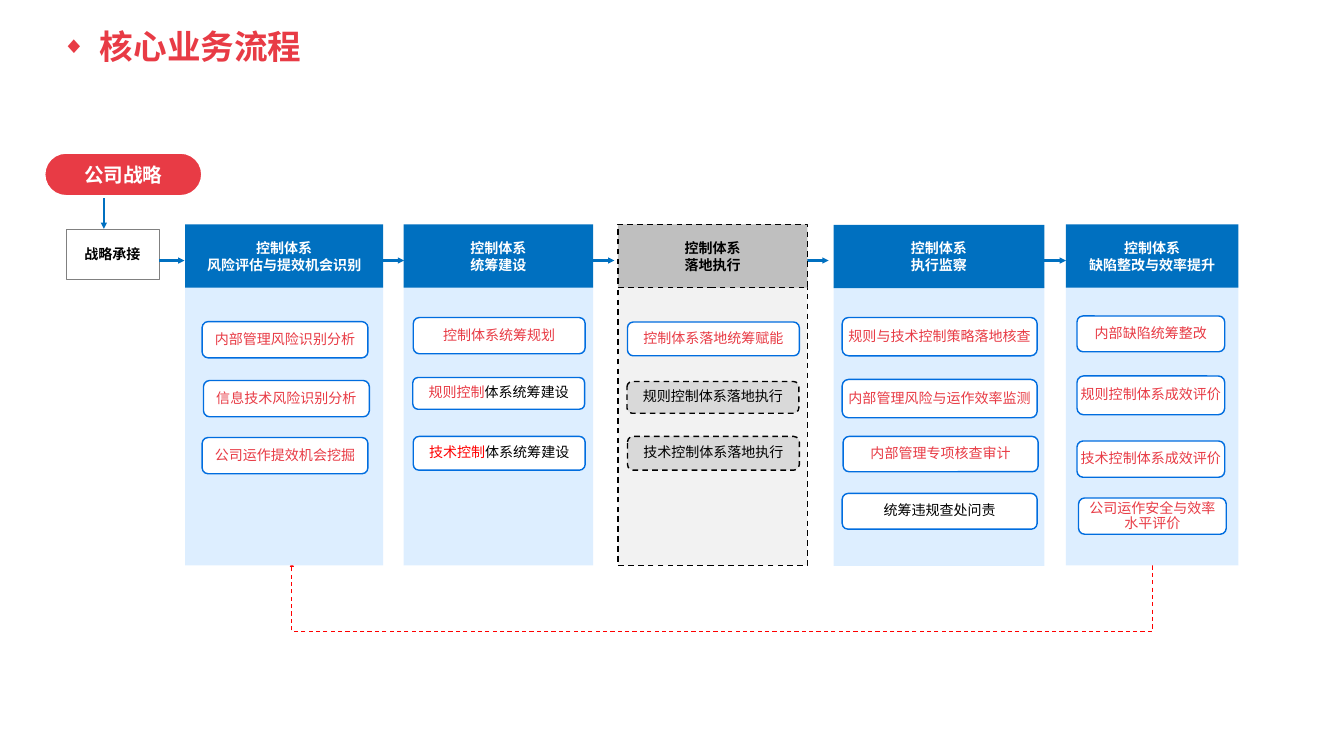
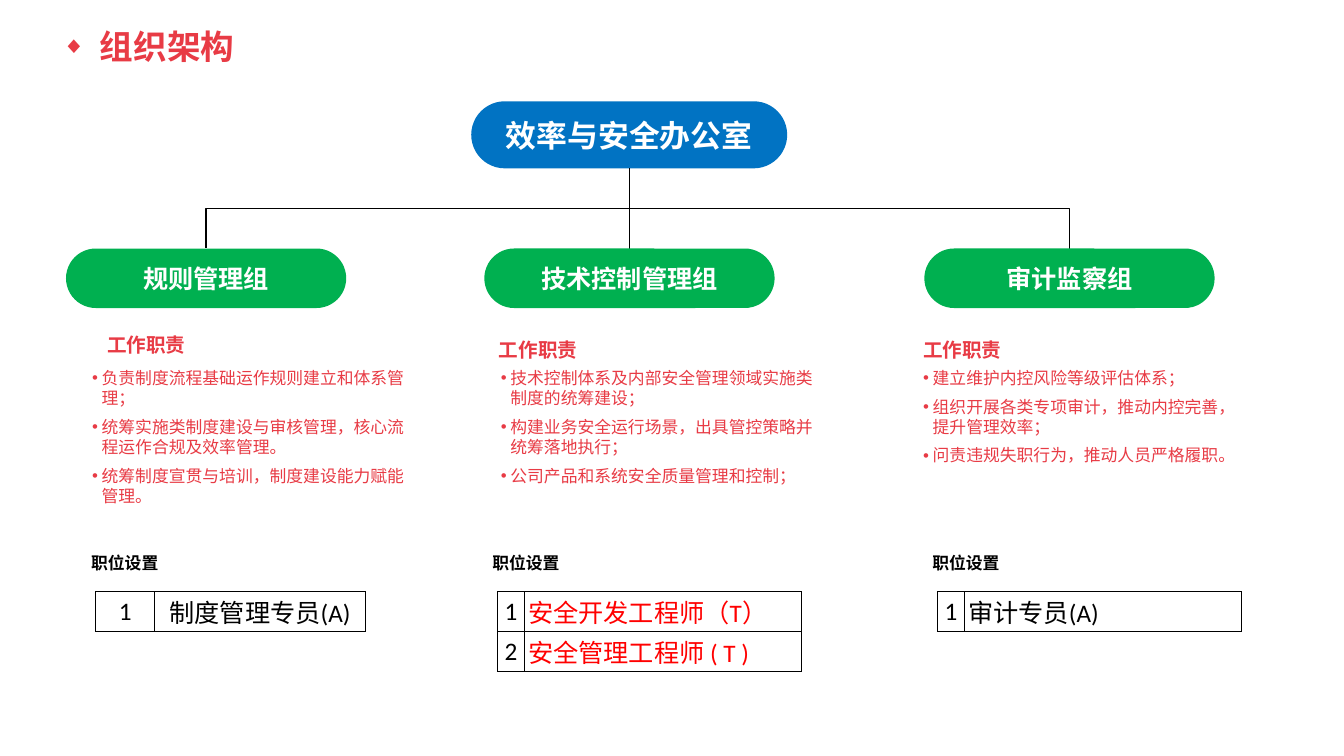
from dataclasses import dataclass
from itertools import accumulate

from lxml.etree import SubElement
from pptx import Presentation
from pptx.dml.color import RGBColor
from pptx.enum.dml import MSO_LINE
from pptx.enum.shapes import MSO_CONNECTOR, MSO_SHAPE
from pptx.enum.text import MSO_ANCHOR, MSO_AUTO_SIZE, PP_ALIGN
from pptx.oxml.ns import qn
from pptx.util import Pt


@dataclass(frozen=True)
class Theme:
    red: str = "E83B45"
    alert: str = "FF0000"
    blue: str = "0070C0"
    root_blue: str = "0173C3"
    outline: str = "006DDF"
    pale: str = "DDEEFF"
    green: str = "00B050"
    white: str = "FFFFFF"
    black: str = "000000"
    grey_line: str = "808080"
    grey_head: str = "BFBFBF"
    grey_card: str = "D9D9D9"
    grey_body: str = "F2F2F2"
    cjk: str = "Noto Sans CJK SC"
    arial: str = "Arial"
    calibri: str = "Calibri"
    title: int = 48
    root: int = 44
    group: int = 36
    heading: int = 28
    body: int = 24
    flow: int = 20


THEME = Theme()


@dataclass(frozen=True)
class Stage:
    box: tuple
    head: str
    font: str
    card_left: float
    card_width: float
    cards: tuple
    outsourced: bool = False


@dataclass(frozen=True)
class Group:
    left: float
    width: float
    name: str
    heading_box: tuple
    heading_font: str
    heading_leading: float
    duty_left: float
    duty_width: float
    duties: tuple
    label_left: float
    table_left: float
    columns: tuple
    posts: tuple
    post_color: str = THEME.black
    post_align: PP_ALIGN = PP_ALIGN.LEFT


RED, BLACK = THEME.red, THEME.black
STAGES = (
    Stage((264.5, 320.4, 283), "控制体系\n风险评估与提效机会识别", THEME.calibri, 24.2, 236.9, (
        (0, 139, 51.8, (("内部管理风险识别分析", RED),)),
        (2, 223.2, 51.8, (("信息技术风险识别分析", RED),)),
        (0, 304.6, 51.8, (("公司运作提效机会挖掘", RED),)))),
    Stage((576.7, 320.4, 270.7), "控制体系\n统筹建设", THEME.cjk, 13.7, 245.5, (
        (0, 133.2, 51.8, (("控制体系统筹规划", RED),)),
        (-0.7, 218.9, 45.4, (("规则控制", RED), ("体系统筹建设", BLACK))),
        (0, 303.1, 48.2, (("技术控制", THEME.alert), ("体系统筹建设", BLACK))))),
    Stage((882.7, 320.4, 270.7), "控制体系\n落地执行", THEME.arial, 13.7, 245.5, (
        (0, 139.7, 48.2, (("控制体系落地统筹赋能", RED),)),
        (-0.7, 224.6, 45.4, (("规则控制体系落地执行", BLACK),)),
        (0, 303.1, 48.2, (("技术控制体系落地执行", BLACK),))), True),
    Stage((1190.9, 321.1, 301), "控制体系\n执行监察", THEME.cjk, 12.2, 278.6, (
        (0, 132.5, 54.7, (("规则与技术控制策略落地核查", RED),)),
        (0, 221, 54.7, (("内部管理风险与运作效率监测", RED),)),
        (1.4, 302.4, 50.4, (("内部管理专项核查审计", RED),)),
        (0, 383.8, 51.1, (("统筹违规查处问责", BLACK),)))),
    Stage((1522.8, 320.4, 246.2), "控制体系\n缺陷整改与效率提升", THEME.cjk, 15.8, 211, (
        (0, 131, 51.1, (("内部缺陷统筹整改", RED),)),
        (0, 216.7, 55.4, (("规则控制体系成效评价", RED),)),
        (0, 309.6, 51.8, (("技术控制体系成效评价", RED),)),
        (2.2, 391, 51.8, (("公司运作安全与效率\n水平评价", RED),)))),
)
FLOW_ARROWS = ((226.8, 263.5), (541.4, 577.4), (828, 877.7), (1134, 1183.7), (1486, 1522.8))

GROUPS = (
    Group(94.3, 400.3, "规则管理组", (51.8, 116.6, 139.7, 41), THEME.calibri, 1, 30.3, 466.6,
          ("负责制度流程基础运作规则建立和体系管理；",
           "统筹实施类制度建设与审核管理，核心流程运作合规及效率管理。",
           "统筹制度宣贯与培训，制度建设能力赋能管理。"),
          28.8, 42.5, (84.2, 301), ("制度管理专员(A)",), post_align=PP_ALIGN.CENTER),
    Group(691.9, 414.7, "技术控制管理组", (13.7, 108, 143.3, 51.8), THEME.cjk, 1.5, 16.6, 466.6,
          ("技术控制体系及内部安全管理领域实施类制度的统筹建设；",
           "构建业务安全运行场景，出具管控策略并统筹落地执行；",
           "公司产品和系统安全质量管理和控制；"),
          4.3, 18.7, (38.9, 395.3), ("安全开发工程师（T）", "安全管理工程师 ( T )"), THEME.alert),
    Group(1320.5, 414.7, "审计监察组", (-8.7, 108, 143.3, 51.8), THEME.cjk, 1.5, -8.7, 471.6,
          ("建立维护内控风险等级评估体系；",
           "组织开展各类专项审计，推动内控完善，提升管理效率；",
           "问责违规失职行为，推动人员严格履职。"),
          4.3, 18.7, (38.9, 395.3), ("审计专员(A)",)),
)


def rgb(value):
    return RGBColor.from_string(value)


def points(values):
    return [Pt(value) for value in values]


def add_span(para, text, size, color, font=THEME.cjk, bold=False):
    for index, line in enumerate(text.split("\n")):
        if index:
            para.add_line_break()
        span = para.add_run()
        span.text = line
        span.font.size = Pt(size)
        span.font.bold = bold
        span.font.color.rgb = rgb(color)
        span.font.name = font
        SubElement(span.font._element, qn("a:ea"), typeface=THEME.cjk)


def set_insets(frame, sides, ends):
    frame.margin_left = frame.margin_right = Pt(sides)
    frame.margin_top = frame.margin_bottom = Pt(ends)


def add_bullet(para, symbol, indent, scale=100):
    settings = para._p.get_or_add_pPr()
    settings.set("marL", str(Pt(indent)))
    settings.set("indent", str(-Pt(indent)))
    SubElement(settings, qn("a:buSzPct"), val=str(scale * 1000))
    SubElement(settings, qn("a:buFont"), typeface=THEME.arial)
    SubElement(settings, qn("a:buChar"), char=symbol)


def style_line(line, color, width, dashed=False, arrow=False):
    line.color.rgb = rgb(color)
    line.width = Pt(width)
    if dashed:
        line.dash_style = MSO_LINE.DASH
    if arrow:
        SubElement(line._get_or_add_ln(), qn("a:tailEnd"), type="triangle")


def add_box(page, box, fill, line=None, kind=MSO_SHAPE.RECTANGLE, dashed=False):
    shape = page.shapes.add_shape(kind, *points(box))
    shape.shadow.inherit = False
    shape.fill.solid()
    shape.fill.fore_color.rgb = rgb(fill)
    if line:
        style_line(shape.line, *line, dashed=dashed)
    else:
        shape.line.fill.background()
    return shape


def add_pill(page, box, fill, line=None):
    pill = add_box(page, box, fill, line, MSO_SHAPE.ROUNDED_RECTANGLE)
    pill.adjustments[0] = 0.5
    return pill


def label(shape, spans, size, font=THEME.cjk, bold=True, sides=0, ends=0, leading=None):
    frame = shape.text_frame
    frame.word_wrap = True
    frame.vertical_anchor = MSO_ANCHOR.MIDDLE
    set_insets(frame, sides, ends)
    para = frame.paragraphs[0]
    para.alignment = PP_ALIGN.CENTER
    para.line_spacing = leading
    for text, color in spans:
        add_span(para, text, size, color, font, bold)


def add_line(page, start, end, color, width, kind=MSO_CONNECTOR.STRAIGHT, arrow=False):
    line = page.shapes.add_connector(kind, *points(start + end))
    SubElement(line._element.spPr, qn("a:effectLst"))
    style_line(line.line, color, width, arrow=arrow)
    return line


def add_branch(page, start, end):
    middle_x, middle_y = (start[0] + end[0]) / 2, (start[1] + end[1]) / 2
    half_x, half_y = (end[0] - start[0]) / 2, (end[1] - start[1]) / 2
    branch = add_line(page, (middle_x - half_y, middle_y + half_x),
                      (middle_x + half_y, middle_y - half_x), BLACK, 2, MSO_CONNECTOR.ELBOW)
    branch._element.spPr.find(qn("a:xfrm")).set("rot", "5400000")


def add_text(page, box, wrap=True):
    frame = page.shapes.add_textbox(*points(box)).text_frame
    frame.word_wrap = wrap
    return frame


def add_page(deck, title):
    page = deck.slides.add_slide(deck.slide_layouts[5])
    holder = page.shapes.title
    holder.left, holder.top, holder.width, holder.height = points((81.4, 36, 1060.6, 67))
    frame = holder.text_frame
    frame.auto_size = MSO_AUTO_SIZE.NONE
    frame.vertical_anchor = MSO_ANCHOR.MIDDLE
    set_insets(frame, 7.2, 3.6)
    para = frame.paragraphs[0]
    para.alignment = PP_ALIGN.LEFT
    para.line_spacing = 0.9
    add_bullet(para, "◆", 54, 70)
    add_span(para, title, THEME.title, RED, bold=True)
    return page


def draw_strategy(page, left, top):
    pill = add_pill(page, (left, top, 225.4, 61.9), RED, (THEME.white, 3))
    label(pill, (("公司战略", THEME.white),), THEME.heading)
    add_line(page, (left + 85, top + 64.8), (left + 85, top + 108.7), THEME.blue, 3, arrow=True)
    intake = add_box(page, (left + 31, top + 108.7, 132.5, 72), THEME.white, (THEME.grey_line, 0.5))
    label(intake, (("战略承接", BLACK),), THEME.flow, sides=14.4, ends=14.4)


def draw_stage(page, stage):
    left, top, width = stage.box
    if stage.outsourced:
        body_fill, head_fill, head_color, line = THEME.grey_body, THEME.grey_head, BLACK, (BLACK, 2)
    else:
        body_fill, head_fill, head_color, line = THEME.pale, THEME.blue, THEME.white, None
    add_box(page, (left, top + 87.8, width, 399.6), body_fill, line, dashed=True)
    head = add_box(page, (left, top, width, 90.7), head_fill, line, dashed=True)
    label(head, ((stage.head, head_color),), THEME.flow, stage.font)
    for shift, offset, height, spans in stage.cards:
        box = (left + stage.card_left + shift, top + offset, stage.card_width, height)
        dashed = stage.outsourced and spans[0][1] == BLACK
        card = add_box(page, box, THEME.grey_card if dashed else THEME.white,
                       (BLACK if dashed else THEME.outline, 2), MSO_SHAPE.ROUNDED_RECTANGLE, dashed)
        label(card, spans, THEME.flow, THEME.arial, False, ends=10, leading=0.9)


def draw_feedback(page, start_x, end_x, top, bottom):
    outline = page.shapes.build_freeform(Pt(start_x), Pt(top))
    corners = ((start_x, bottom), (end_x, bottom), (end_x, top - 4))
    outline.add_line_segments([points(corner) for corner in corners], close=False)
    feedback = outline.convert_to_shape()
    feedback.shadow.inherit = False
    feedback.fill.background()
    style_line(feedback.line, THEME.alert, 1.5, True, True)


def draw_posts(page, group, left, top):
    row_height = 56.9
    grid = page.shapes.add_table(len(group.posts), 2, *points(
        (left, top, sum(group.columns), row_height * len(group.posts)))).table
    grid.first_row = grid.horz_banding = False
    for column, width in zip(grid.columns, group.columns):
        column.width = Pt(width)
    for index, post in enumerate(group.posts):
        grid.rows[index].height = Pt(row_height)
        entries = ((str(index + 1), BLACK, PP_ALIGN.CENTER), (post, group.post_color, group.post_align))
        for cell, (text, color, align) in zip(grid.rows[index].cells, entries):
            set_insets(cell, 5, 0)
            cell.vertical_anchor = MSO_ANCHOR.MIDDLE
            for side in "LRTB":
                border = SubElement(cell._tc.get_or_add_tcPr(), qn(f"a:ln{side}"), w=str(Pt(1)))
                SubElement(SubElement(border, qn("a:solidFill")), qn("a:srgbClr"), val=BLACK)
            cell.fill.background()
            para = cell.text_frame.paragraphs[0]
            para.alignment = align
            add_span(para, text, THEME.group, color, THEME.calibri)


def draw_group(page, group, top):
    left = group.left
    pill = add_pill(page, (left, top, group.width, 85), THEME.green)
    label(pill, ((group.name, THEME.white),), THEME.group, THEME.calibri, sides=7.2, ends=7.2)

    shift, drop, width, height = group.heading_box
    para = add_text(page, (left + shift, top + drop, width, height)).paragraphs[0]
    para.line_spacing = group.heading_leading
    add_span(para, "工作职责", THEME.heading, RED, group.heading_font, True)

    duty_box = (left + group.duty_left, top + 167, group.duty_width, 206)
    frame = add_text(page, duty_box)
    for index, duty in enumerate(group.duties):
        para = frame.add_paragraph() if index else frame.paragraphs[0]
        para.space_before = para.space_after = Pt(6)
        add_bullet(para, "•", 13.5)
        add_span(para, duty, THEME.body, RED, THEME.calibri)

    frame = add_text(page, (left + group.label_left, top + 427, 111.6, 44), wrap=False)
    set_insets(frame, 7.2, 7.2)
    add_span(frame.paragraphs[0], "职位设置", THEME.body, BLACK, THEME.calibri, True)
    draw_posts(page, group, left + group.table_left, top + 490.3)


def draw_process(deck):
    page = add_page(deck, "核心业务流程")
    draw_feedback(page, 1645.9, 417, 807.8, 902.2)
    draw_strategy(page, 63.4, 218.2)
    for start, end in FLOW_ARROWS:
        add_line(page, (start, 372.2), (end, 372.2), THEME.blue, 3, arrow=True)
    for stage in STAGES:
        draw_stage(page, stage)


def draw_organisation(deck):
    page = add_page(deck, "组织架构")
    left, top, width, height = 673.2, 144.7, 451.4, 95.8
    group_top = 355
    root = add_pill(page, (left, top, width, height), THEME.root_blue)
    label(root, (("效率与安全办公室", THEME.white),), THEME.root, sides=7.2, ends=7.2)
    for group in GROUPS:
        add_branch(page, (left + width / 2, top + height), (group.left + group.width / 2, group_top))
        draw_group(page, group, group_top)


def main():
    deck = Presentation()
    deck.slide_width, deck.slide_height = Pt(1920), Pt(1080)
    draw_process(deck)
    draw_organisation(deck)
    deck.save("out.pptx")


if __name__ == "__main__":
    main()
